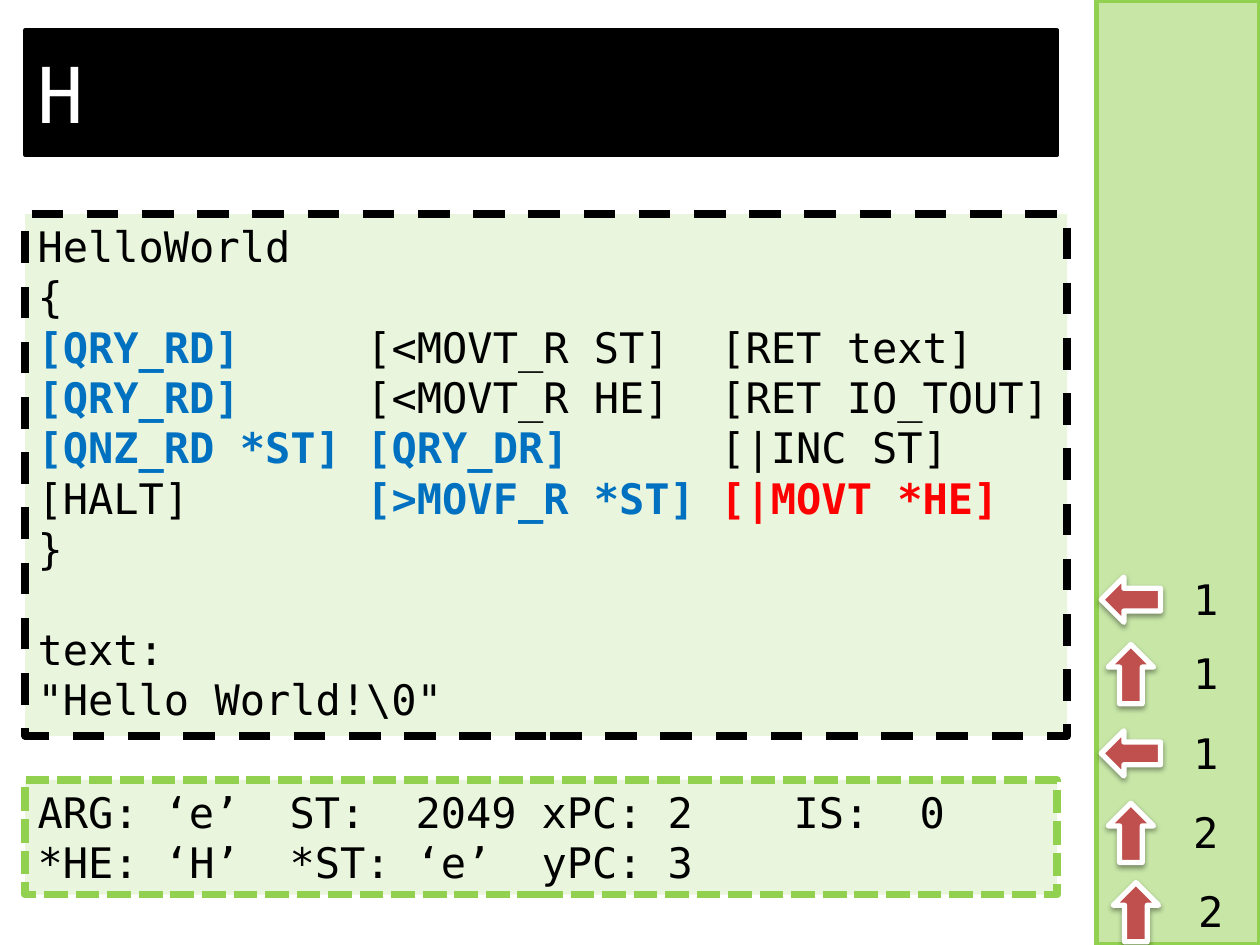
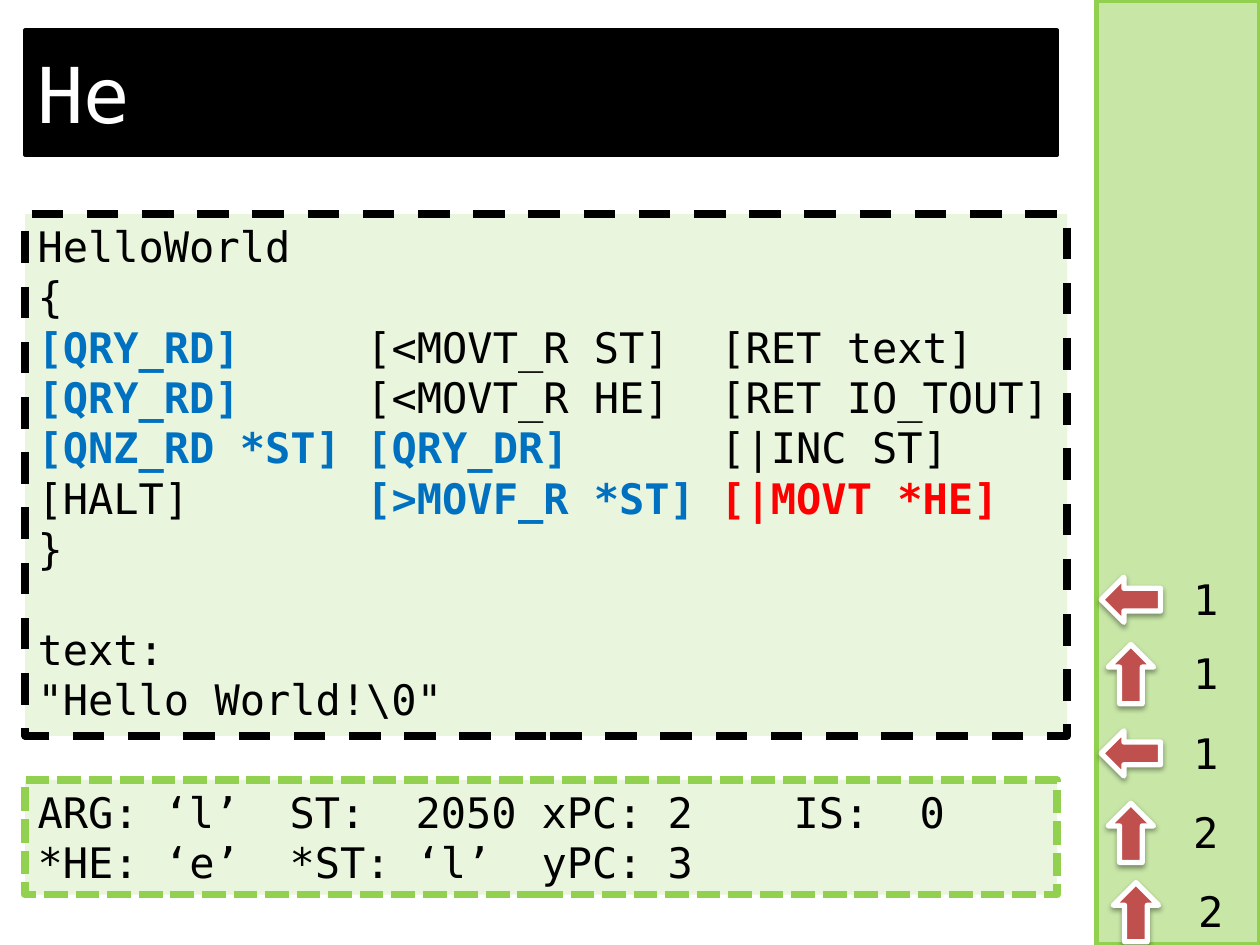
from dataclasses import dataclass
from typing import NamedTuple, Optional

from lxml import etree
from pptx import Presentation
from pptx.dml.color import RGBColor
from pptx.enum.dml import MSO_LINE
from pptx.enum.shapes import MSO_SHAPE
from pptx.enum.text import MSO_ANCHOR, MSO_AUTO_SIZE, PP_ALIGN
from pptx.oxml.ns import qn
from pptx.util import Pt

RECTANGLE, LEFT_ARROW = MSO_SHAPE.RECTANGLE, MSO_SHAPE.LEFT_ARROW
DASH, SHORT_DASH = MSO_LINE.DASH, MSO_LINE.SQUARE_DOT
TOP, MIDDLE = MSO_ANCHOR.TOP, MSO_ANCHOR.MIDDLE
GROW = MSO_AUTO_SIZE.SHAPE_TO_FIT_TEXT
LEFT = PP_ALIGN.LEFT


# Theme
@dataclass(frozen=True)
class Theme:
    font: str = "DejaVu Sans Mono"
    title_size: float = 44
    body_size: float = 24
    black: str = "000000"
    white: str = "FFFFFF"
    green: str = "92D050"
    blue: str = "0070C0"
    red: str = "FF0000"
    arrow: str = "C0504D"


THEME = Theme()


class Box(NamedTuple):
    left: float
    top: float
    width: float
    height: float


@dataclass(frozen=True)
class Panel:
    box: Box
    fill: str
    line: str
    line_width: float
    opacity: int = 100
    dash: Optional[MSO_LINE] = None


class Piece(NamedTuple):
    text: str
    color: str = THEME.black
    bold: bool = False


class Step(NamedTuple):
    top: float
    count: str
    points_up: bool
    shift: float = 0


class State(NamedTuple):
    output: str
    argument: str
    stack: str
    head: str


# Shared parts
TITLE_BAR = Panel(Box(14.4, 17.28, 589.68, 71.28), THEME.black, THEME.black, 2)
CODE_PANEL = Panel(Box(14.4, 122.4, 595.44, 298.08), THEME.green, THEME.black, 4.5, 20, DASH)
SIDE_BAND = Panel(Box(626.4, 0, 93.6, 540), THEME.green, THEME.green, 3, 50)
STATE_PANEL = Panel(Box(14.4, 445.68, 589.68, 65.52), THEME.green, THEME.green, 4.5, 20, SHORT_DASH)

CODE_TABS = [187.9, 390.2]
STATE_TABS = [72 * column for column in range(1, 8)]
BLANK_LINE = 28.8


def query(text: str) -> Piece:
    return Piece(text, THEME.blue, True)


CODE_LINES = [
    [Piece("HelloWorld")],
    [Piece("{")],
    [query("[QRY_RD]\t"), Piece("[<MOVT_R ST]\t[RET text]")],
    [query("[QRY_RD]\t"), Piece("[<MOVT_R HE]\t[RET IO_TOUT]")],
    [query("[QNZ_RD *ST]\t[QRY_DR]\t"), Piece("[|INC ST]")],
    [Piece("[HALT]\t"), query("[>MOVF_R *ST]\t"), Piece("[|MOVT *HE]", THEME.red, True)],
    [Piece("}")],
    [Piece("text:")],
    [Piece('"Hello World!\\0"')],
]
DATA_LINE = 7

# The path so far, from the bottom of the band upwards
STEPS = [
    Step(508.32, "2", True, 2.88),
    Step(462.96, "2", True),
    Step(417.6, "1", False),
    Step(372.24, "1", True),
    Step(329.76, "1", False),
]

STATES = [
    State("H", "e", "2049", "H"),
    State("He", "l", "2050", "e"),
]


# Drawing
def add_panel(shapes, panel: Panel, kind=RECTANGLE):
    shape = shapes.add_shape(kind, *(Pt(length) for length in panel.box))
    shape.shadow.inherit = False
    shape.fill.solid()
    shape.fill.fore_color.rgb = RGBColor.from_string(panel.fill)
    if panel.opacity < 100:
        color = shape._element.spPr.find(qn("a:solidFill"))[0]
        etree.SubElement(color, qn("a:alpha"), val=str(panel.opacity * 1000))
    shape.line.color.rgb = RGBColor.from_string(panel.line)
    shape.line.width = Pt(panel.line_width)
    if panel.dash is not None:
        shape.line.dash_style = panel.dash
    return shape


def add_run(paragraph, piece: Piece, size: float = THEME.body_size) -> None:
    run = paragraph.add_run()
    run.text = piece.text
    run.font.name = THEME.font
    run.font.size = Pt(size)
    run.font.bold = piece.bold
    run.font.color.rgb = RGBColor.from_string(piece.color)


def set_tabs(paragraph, stops: list[float]) -> None:
    tab_list = etree.SubElement(paragraph._p.get_or_add_pPr(), qn("a:tabLst"))
    for stop in stops:
        etree.SubElement(tab_list, qn("a:tab"), pos=str(Pt(stop)), algn="l")


def start_text(shape, anchor=TOP, auto_size=GROW):
    frame = shape.text_frame
    frame.word_wrap = True
    frame.auto_size = auto_size
    frame.vertical_anchor = anchor
    paragraph = frame.paragraphs[0]
    paragraph.alignment = LEFT
    return paragraph


def add_title(shapes, text: str) -> None:
    paragraph = start_text(add_panel(shapes, TITLE_BAR), MIDDLE, MSO_AUTO_SIZE.NONE)
    add_run(paragraph, Piece(text, THEME.white), THEME.title_size)


def add_code(shapes) -> None:
    shape = add_panel(shapes, CODE_PANEL)
    paragraph = start_text(shape)
    for number, line in enumerate(CODE_LINES):
        if number:
            paragraph = shape.text_frame.add_paragraph()
            paragraph.alignment = LEFT
        if number == DATA_LINE:
            paragraph.space_before = Pt(BLANK_LINE)
        set_tabs(paragraph, CODE_TABS)
        for piece in line:
            add_run(paragraph, piece)


def add_state(shapes, state: State) -> None:
    paragraph = start_text(add_panel(shapes, STATE_PANEL))
    set_tabs(paragraph, STATE_TABS)
    add_run(paragraph, Piece(f"ARG:\t‘{state.argument}’\tST:\t{state.stack}\txPC:\t2\tIS:\t0"))
    paragraph.add_line_break()
    add_run(paragraph, Piece(f"*HE: ‘{state.head}’\t*ST:\t‘{state.argument}’\tyPC:\t3"))


def add_arrow_shadow(shape) -> None:
    effects = shape._element.spPr.find(qn("a:effectLst"))
    shadow = etree.SubElement(effects, qn("a:outerShdw"), blurRad=str(Pt(3.1)),
                              dist=str(Pt(1.6)), dir="5400000", rotWithShape="0")
    color = etree.SubElement(shadow, qn("a:srgbClr"), val=THEME.black)
    etree.SubElement(color, qn("a:alpha"), val="38000")


def add_step(shapes, step: Step) -> None:
    group = shapes.add_group_shape()
    box = Box(629.28 + step.shift, step.top, 33.84, 25.92)
    arrow = add_panel(group.shapes, Panel(box, THEME.arrow, THEME.white, 3), LEFT_ARROW)
    arrow.rotation = 90 if step.points_up else 0
    add_arrow_shadow(arrow)
    label = group.shapes.add_textbox(Pt(674.64 + step.shift), Pt(step.top - 5.6), Pt(42.48), Pt(36))
    add_run(start_text(label), Piece(step.count))


# Slides
presentation = Presentation()
presentation.slide_width, presentation.slide_height = Pt(720), Pt(540)
blank_layout = presentation.slide_layouts[6]

for state in STATES:
    shapes = presentation.slides.add_slide(blank_layout).shapes
    add_code(shapes)
    add_panel(shapes, SIDE_BAND)
    add_state(shapes, state)
    add_title(shapes, state.output)
    for step in STEPS:
        add_step(shapes, step)

presentation.save("out.pptx")
